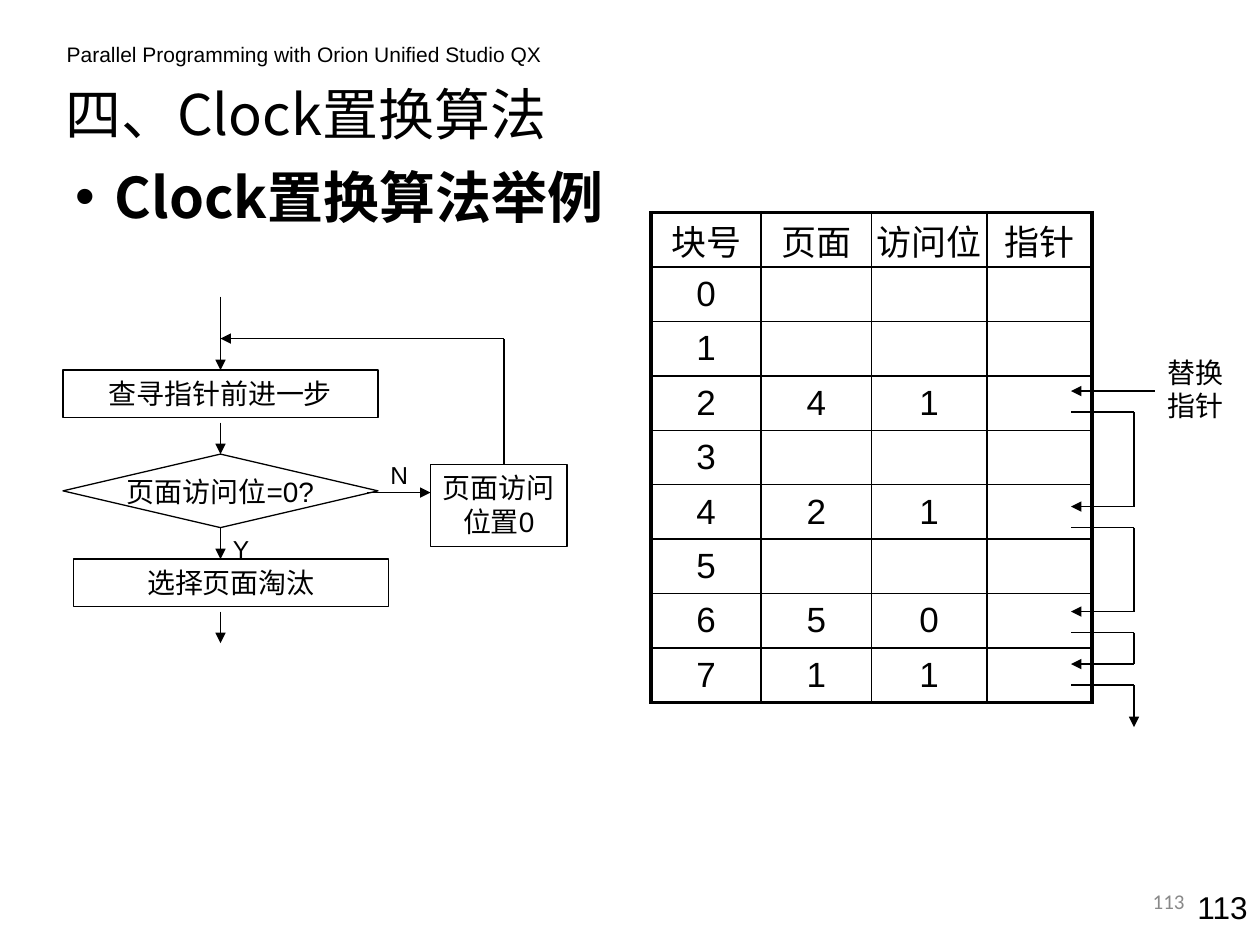
import pptx
import pptx.util
import pptx.dml.color
import pptx.enum.shapes
import pptx.enum.text
import pptx.oxml.ns
from lxml import etree

Pt = pptx.util.Pt
ALIGN = pptx.enum.text.PP_ALIGN
ANCHOR = pptx.enum.text.MSO_ANCHOR
SHAPE = pptx.enum.shapes.MSO_SHAPE
COLORS = {"ink": "000000", "page_number": "898989"}
HEADING_FONT = "Noto Sans CJK SC"

HEADERS = ["块号", "页面", "访问位", "指针"]
LOADED_BLOCKS = {2: ("4", "1"), 4: ("2", "1"), 6: ("5", "0"), 7: ("1", "1")}
COLUMN_WIDTHS = [63, 63, 66, 60]
ROW_HEIGHT = 31.1

POINTER_PATHS = [
    [(660, 223.5), (612, 223.5)],
    [(612, 235.5), (648, 235.5), (648, 289.5), (612, 289.5)],
    [(612, 301.5), (648, 301.5), (648, 349.5), (612, 349.5)],
    [(612, 361.5), (648, 361.5), (648, 379.5), (612, 379.5)],
    [(612, 391.5), (648, 391.5), (648, 415.5)],
]
FLOW_PATHS = [
    [(210, 281.5), (246, 281.5)],
    [(288, 265.5), (288, 193.5), (126, 193.5)],
    [(126, 169.5), (126, 211.5)],
    [(126, 241.5), (126, 259.5)],
    [(126, 301.5), (126, 319.5)],
    [(126, 349.5), (126, 367.5)],
]


def color(name):
    """Return the named palette colour."""
    return pptx.dml.color.RGBColor.from_string(COLORS[name])


def sub_element(parent, tag, **attributes):
    """Append a DrawingML element to the parent."""
    return etree.SubElement(parent, pptx.oxml.ns.qn(tag), attributes)


def write_text(frame, text, *, size, font="Arial", ink="ink", bold=False,
               align=ALIGN.LEFT, anchor=ANCHOR.TOP, wrap=True):
    """Put one formatted paragraph in a text frame and return it."""
    frame.word_wrap = wrap
    frame.vertical_anchor = anchor
    paragraph = frame.paragraphs[0]
    paragraph.alignment = align
    run = paragraph.add_run()
    run.text = text
    run.font.size = Pt(size)
    run.font.name = font
    run.font.bold = bold
    run.font.color.rgb = color(ink)
    if font == HEADING_FONT:
        sub_element(run.font._element, "a:ea", typeface=font)
    return paragraph


def add_label(slide, box, text, **text_format):
    """Add a text box holding one paragraph."""
    shape = slide.shapes.add_textbox(*map(Pt, box))
    write_text(shape.text_frame, text, **text_format)
    return shape


def add_step(slide, kind, box, text, **text_format):
    """Add an outlined flowchart step with centred text."""
    shape = slide.shapes.add_shape(kind, *map(Pt, box))
    shape.shadow.inherit = False
    shape.fill.background()
    shape.line.color.rgb = color("ink")
    shape.line.width = Pt(0.75)
    write_text(shape.text_frame, text, size=16, align=ALIGN.CENTER, **text_format)


def add_arrow_path(slide, points):
    """Join the points with straight connectors ending in an arrowhead."""
    for start, end in zip(points, points[1:]):
        connector = slide.shapes.add_connector(
            pptx.enum.shapes.MSO_CONNECTOR.STRAIGHT, *map(Pt, start + end))
        connector.line.color.rgb = color("ink")
        connector.line.width = Pt(0.75)
        sub_element(connector._element.spPr, "a:effectLst")
    sub_element(connector.line._get_or_add_ln(), "a:tailEnd", type="triangle")


def set_borders(cell, widths):
    """Draw the left, right, top and bottom cell borders."""
    properties = cell._tc.get_or_add_tcPr()
    for side, width in zip("LRTB", widths):
        line = sub_element(properties, f"a:ln{side}", w=str(Pt(width)))
        fill = sub_element(line, "a:solidFill")
        sub_element(fill, "a:srgbClr", val=COLORS["ink"])


def add_block_table(slide):
    """Add the table of memory blocks with a heavy outer frame."""
    rows = [HEADERS] + [
        [str(block), *LOADED_BLOCKS.get(block, ("", "")), ""] for block in range(8)]
    last_row, last_column = len(rows) - 1, len(HEADERS) - 1
    table = slide.shapes.add_table(
        len(rows), len(HEADERS), Pt(372), Pt(121.5),
        Pt(sum(COLUMN_WIDTHS)), Pt(ROW_HEIGHT * len(rows))).table
    table.first_row = table.horz_banding = False
    for column, width in zip(table.columns, COLUMN_WIDTHS):
        column.width = Pt(width)
    for row_index, values in enumerate(rows):
        table.rows[row_index].height = Pt(ROW_HEIGHT)
        for column_index, value in enumerate(values):
            cell = table.cell(row_index, column_index)
            cell.margin_left = cell.margin_right = Pt(0)
            cell.margin_top = cell.margin_bottom = Pt(0)
            cell.vertical_anchor = ANCHOR.MIDDLE
            edges = (column_index == 0, column_index == last_column,
                     row_index == 0, row_index == last_row)
            set_borders(cell, [2.25 if edge else 1 for edge in edges])
            cell.fill.background()
            if value:
                paragraph = cell.text_frame.paragraphs[0]
                paragraph.alignment = ALIGN.CENTER
                run = paragraph.add_run()
                run.text = value
                run.font.size = Pt(20)
                run.font.name = "Arial"
                run.font.color.rgb = color("ink")


def add_headings(slide):
    """Fill the title and add the course name and the bulleted topic."""
    add_label(slide, (31, 20, 295, 22),
              "Parallel Programming with Orion Unified Studio QX", size=12)
    title = slide.shapes.title
    title.left, title.top, title.width, title.height = map(Pt, (30, 37.5, 642, 54))
    title.text_frame.auto_size = pptx.enum.text.MSO_AUTO_SIZE.NONE
    write_text(title.text_frame, "四、Clock置换算法", size=32,
               font=HEADING_FONT, anchor=ANCHOR.MIDDLE)
    topic = add_label(slide, (36, 91.5, 318, 54), "Clock置换算法举例",
                      size=32, font=HEADING_FONT, bold=True)
    topic.text_frame.margin_top = Pt(8)
    paragraph = topic.text_frame.paragraphs[0]
    paragraph.line_spacing = 0.83
    properties = paragraph._p.get_or_add_pPr()
    properties.set("marL", str(Pt(22.5)))
    properties.set("indent", str(-Pt(22.5)))
    sub_element(properties, "a:buFont", typeface="Arial")
    sub_element(properties, "a:buChar", char="•")


def add_flowchart(slide):
    """Add the steps, branch labels and arrows of the clock algorithm."""
    add_step(slide, SHAPE.RECTANGLE, (36, 211.5, 180, 27), "查寻指针前进一步")
    add_step(slide, SHAPE.RECTANGLE, (42, 319.5, 180, 27), "选择页面淘汰")
    add_step(slide, SHAPE.DIAMOND, (36, 259.5, 180, 42), "页面访问位=0?",
             anchor=ANCHOR.MIDDLE, wrap=False)
    add_step(slide, SHAPE.RECTANGLE, (246, 265.5, 78, 47), "页面访问位置0")
    for points in FLOW_PATHS:
        add_arrow_path(slide, points)
    add_label(slide, (216, 259.5, 36, 24), "N", size=14)
    add_label(slide, (126, 301.5, 36, 24), "Y", size=14)


def main():
    """Build the slide and save it."""
    presentation = pptx.Presentation()
    presentation.slide_width, presentation.slide_height = Pt(720), Pt(540)
    slide = presentation.slides.add_slide(presentation.slide_layouts[5])
    add_headings(slide)
    add_block_table(slide)
    for points in POINTER_PATHS:
        add_arrow_path(slide, points)
    add_label(slide, (660, 199.5, 60, 46), "替换指针", size=16)
    add_flowchart(slide)
    add_label(slide, (660, 504, 60, 36), "113", size=18, align=ALIGN.RIGHT)
    add_label(slide, (516, 500.5, 168, 29), "113", size=12, font="Calibri",
              ink="page_number", align=ALIGN.RIGHT, anchor=ANCHOR.MIDDLE)
    presentation.save("out.pptx")


if __name__ == "__main__":
    main()
